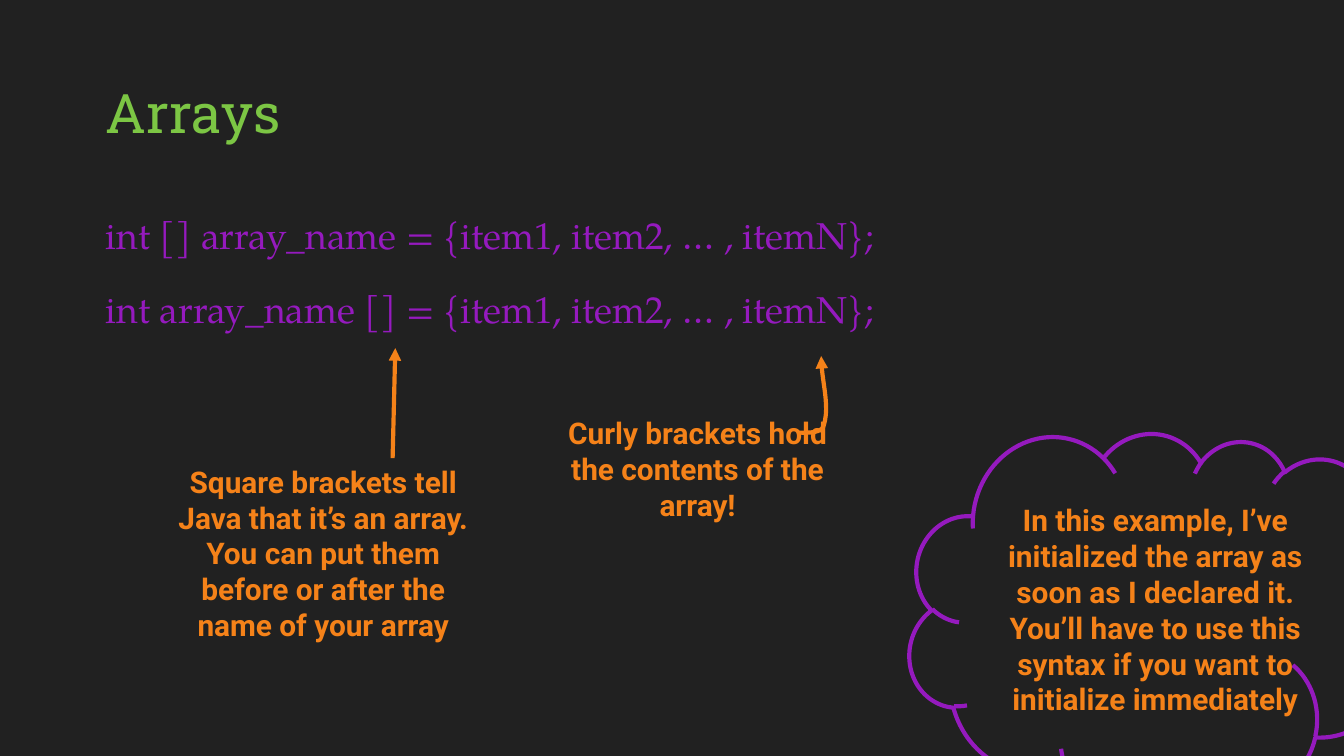
from lxml import etree
from pptx import Presentation
from pptx.dml.color import RGBColor
from pptx.enum.shapes import MSO_CONNECTOR, MSO_SHAPE
from pptx.enum.text import MSO_ANCHOR, MSO_AUTO_SIZE, PP_ALIGN
from pptx.oxml.ns import qn
from pptx.util import Cm, Pt

BACKGROUND = RGBColor(0x21, 0x21, 0x21)
GREEN = RGBColor(0x7C, 0xC6, 0x44)
PURPLE = RGBColor(0x95, 0x1A, 0xBE)
ORANGE = RGBColor(0xF5, 0x82, 0x19)

STRAIGHT = MSO_CONNECTOR.STRAIGHT
CLOUD = MSO_SHAPE.CLOUD
TOP = MSO_ANCHOR.TOP
NO_AUTOFIT = MSO_AUTO_SIZE.NONE
LEFT, CENTER = PP_ALIGN.LEFT, PP_ALIGN.CENTER

TITLE_FONT = {"name": "Roboto Slab", "size": Pt(29.2), "bold": False}
CODE_FONT = {"name": "TeX Gyre Pagella", "size": Pt(20)}
NOTE_FONT = {"name": "Roboto", "size": Pt(16), "bold": True}
CODE_SPACING = {"line_spacing": 1.15}
LINE_WIDTH = Pt(2.25)
CURVE_STEPS = 12


def set_attributes(target, values):
    for name, value in values.items():
        setattr(target, name, value)


def place(shape, box):
    lengths = [Cm(value) for value in box]
    set_attributes(shape, dict(zip(("left", "top", "width", "height"), lengths)))


def fill_text(shape, lines, font, color, alignment):
    frame = shape.text_frame
    inset = Cm(0.25)
    set_attributes(frame, {
        "word_wrap": True, "auto_size": NO_AUTOFIT, "vertical_anchor": TOP,
        "margin_left": inset, "margin_right": inset,
        "margin_top": inset, "margin_bottom": inset,
    })
    frame.text = "\n".join(lines)
    for paragraph in frame.paragraphs:
        paragraph.alignment = alignment
        run_font = paragraph.runs[0].font
        set_attributes(run_font, font)
        run_font.color.rgb = color


def style_arrow(shape):
    shape.line.color.rgb = ORANGE
    shape.line.width = LINE_WIDTH
    properties = shape._element.spPr
    line = properties.find(qn("a:ln"))
    etree.SubElement(line, qn("a:tailEnd"), type="triangle")
    if properties.find(qn("a:effectLst")) is None:
        etree.SubElement(properties, qn("a:effectLst"))


def bezier_point(points, t):
    weights = ((1 - t) ** 3, 3 * t * (1 - t) ** 2, 3 * t ** 2 * (1 - t), t ** 3)
    return tuple(sum(weight * point[axis] for weight, point in zip(weights, points))
                 for axis in (0, 1))


def add_title(slide, box):
    title = slide.shapes.title
    place(title, box)
    fill_text(title, ["Arrays"], TITLE_FONT, GREEN, LEFT)


def add_code(slide, box):
    code = slide.shapes.add_textbox(0, 0, 0, 0)
    place(code, box)
    lines = [f"int {name} = {{item1, item2, … , itemN}};"
             for name in ("[] array_name", "array_name []")]
    fill_text(code, lines, CODE_FONT, PURPLE, LEFT)
    for paragraph in code.text_frame.paragraphs:
        set_attributes(paragraph, CODE_SPACING)
    code.text_frame.paragraphs[-1].space_before = Pt(12)


def add_note(slide, box, text):
    note = slide.shapes.add_textbox(0, 0, 0, 0)
    place(note, box)
    fill_text(note, [text], NOTE_FONT, ORANGE, CENTER)


def add_cloud_note(slide, box, text):
    left, top, width, height = box
    cloud = slide.shapes.add_shape(CLOUD, 0, 0, 0, 0)
    place(cloud, box)
    cloud.rotation = 12.3
    cloud.shadow.inherit = False
    cloud.fill.solid()
    cloud.fill.fore_color.rgb = BACKGROUND
    cloud.line.color.rgb = PURPLE
    cloud.line.width = LINE_WIDTH
    add_note(slide, (left + 1.27, top + 1.19, width - 2.57, height - 2.82), text)


def add_straight_arrow(slide, box):
    """Runs from the bottom left to the top right of the box."""
    left, top, width, height = box
    arrow = slide.shapes.add_connector(
        STRAIGHT, Cm(left), Cm(top + height), Cm(left + width), Cm(top))
    style_arrow(arrow)


def add_curved_arrow(slide, box):
    """Bends from the bottom left up to the top of the box."""
    left, top, width, height = box
    # Control points as shares of the box
    curves = (((0, 1), (0.33, 1), (0.81, 1.01), (0.9, 0.91)),
              ((0.9, 0.91), (1.14, 0.63), (0.81, 0.32), (0.81, 0)))
    shares = [bezier_point(curve, step / CURVE_STEPS)
              for curve in curves for step in range(1, CURVE_STEPS + 1)]
    points = [(Cm(left + x * width), Cm(top + y * height)) for x, y in shares]
    builder = slide.shapes.build_freeform(Cm(left), Cm(top + height))
    builder.add_line_segments(points, close=False)
    arrow = builder.convert_to_shape()
    arrow.shadow.inherit = False
    arrow.fill.background()
    style_arrow(arrow)


def main():
    presentation = Presentation()
    presentation.slide_width = Cm(25.4)
    presentation.slide_height = Cm(14.29)
    slide = presentation.slides.add_slide(presentation.slide_layouts[5])
    slide.background.fill.solid()
    slide.background.fill.fore_color.rgb = BACKGROUND

    # Heading and code
    add_title(slide, (1.75, 1.24, 21.87, 1.6))
    add_code(slide, (1.75, 3.63, 17.35, 2.01))

    # Notes
    add_note(slide, (2.87, 8.51, 6.48, 3.94),
             "Square brackets tell Java that it’s an array. "
             "You can put them before or after the name of your array")
    add_cloud_note(slide, (17.2, 8.05, 9.3, 7.44),
                   "In this example, I’ve initialized the array as soon as I "
                   "declared it. You’ll have to use this syntax if you want to "
                   "initialize immediately")
    add_note(slide, (10.34, 7.59, 5.69, 2.57),
             "Curly brackets hold the contents of the array!")

    # Arrows from the notes to the brackets
    add_curved_arrow(slide, (15.09, 6.73, 0.53, 1.45))
    add_straight_arrow(slide, (7.42, 6.58, 0.05, 2.08))

    presentation.save("out.pptx")


if __name__ == "__main__":
    main()
